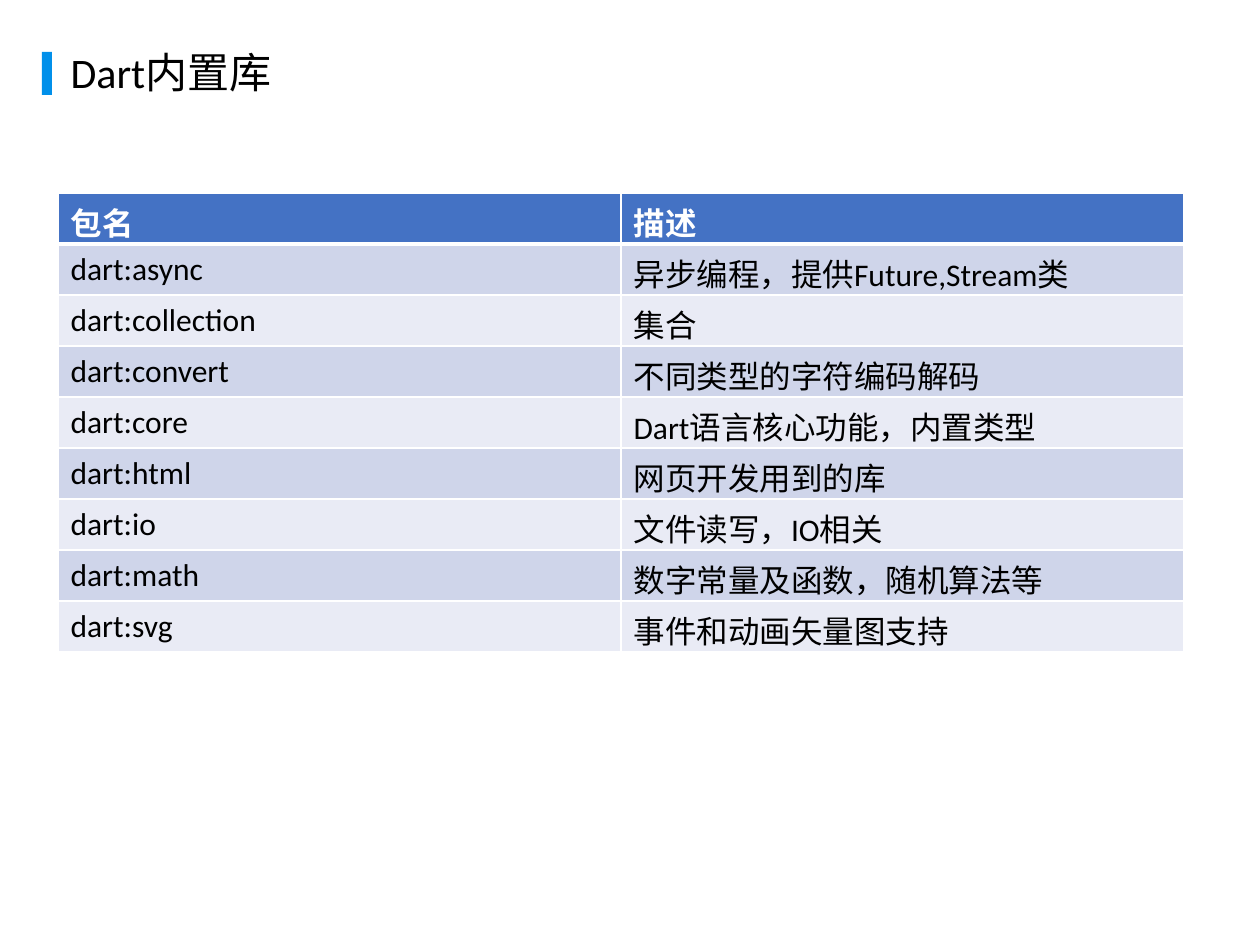
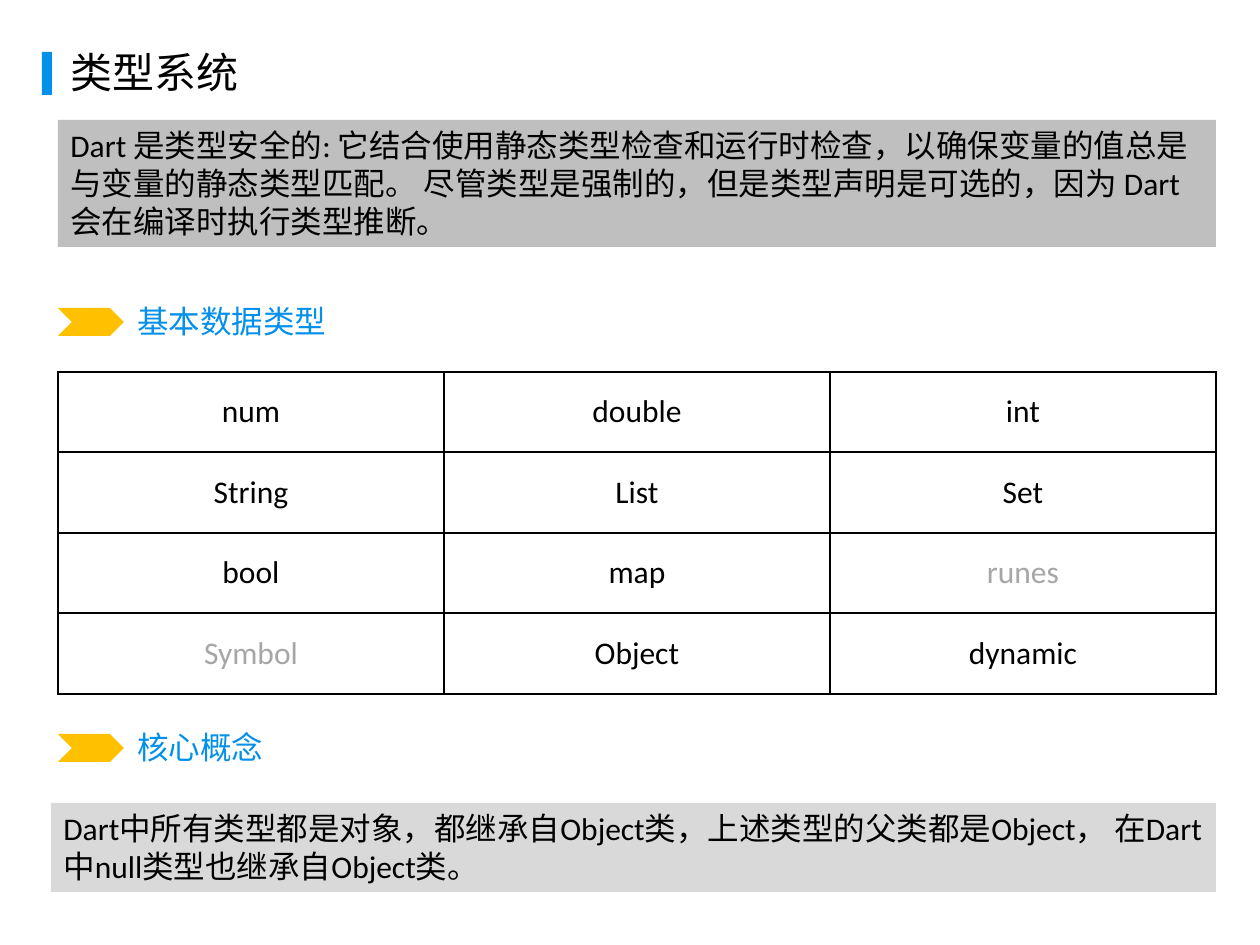
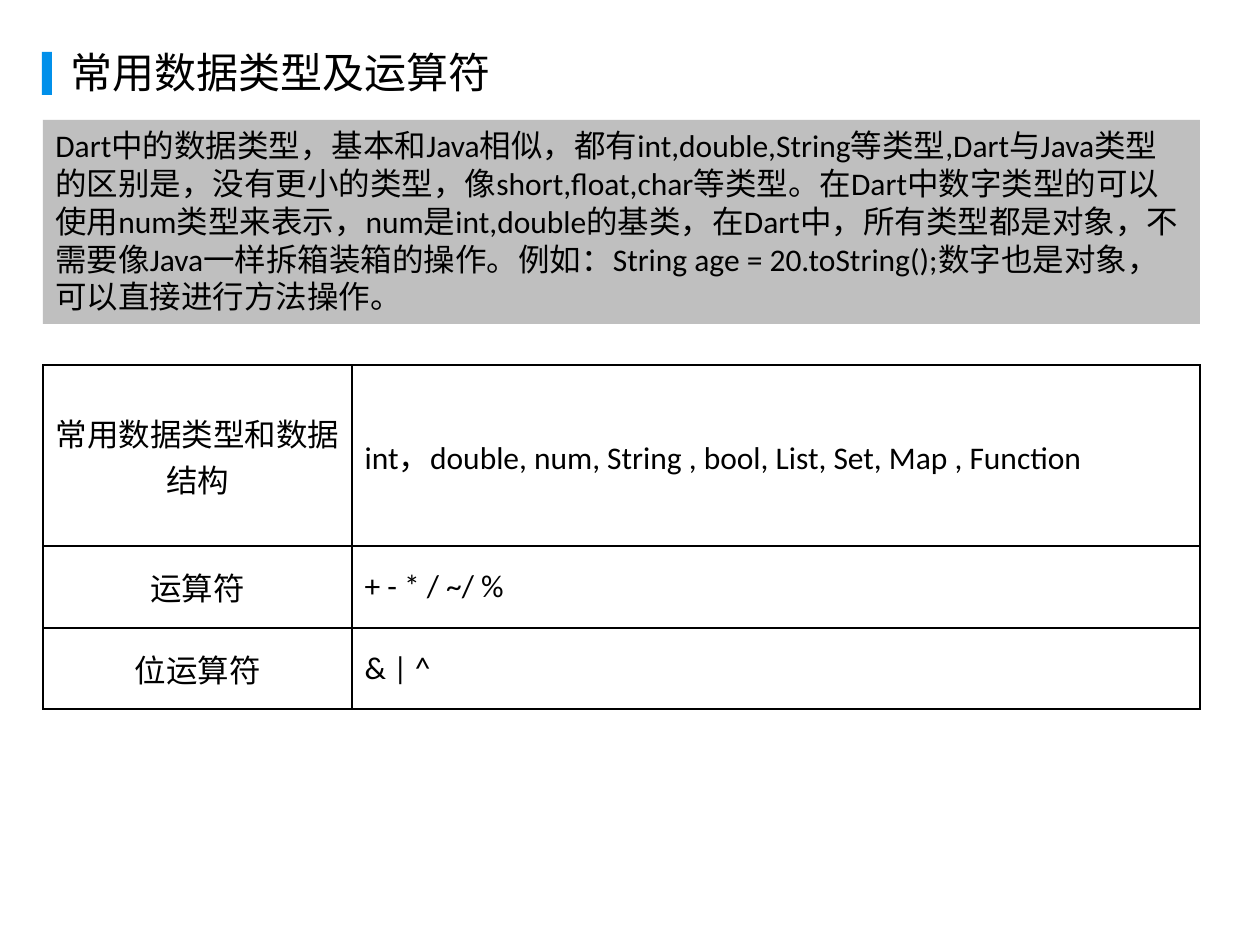
from dataclasses import dataclass
from typing import Any, Optional

from lxml.etree import SubElement
from pptx import Presentation
from pptx.dml.color import RGBColor
from pptx.enum.shapes import MSO_SHAPE as Preset
from pptx.enum.text import MSO_ANCHOR as Anchor, MSO_AUTO_SIZE as AutoSize, PP_ALIGN as Align
from pptx.oxml.ns import qn
from pptx.util import Emu, Pt

EMU_PER_PIXEL = 914400 / 126
TITLE_ONLY = 5


@dataclass(frozen=True)
class Theme:
    """Colours, font and type sizes of the whole deck."""
    font: str = "Calibri"
    title_size: int = 24
    body_size: int = 18
    ink: str = "000000"
    muted: str = "A6A6A6"
    white: str = "FFFFFF"
    accent: str = "0190EA"
    heading: str = "0390EA"
    marker: str = "FFC000"
    summary: str = "BFBFBF"
    concept: str = "D9D9D9"
    header: str = "4472C4"
    bands: tuple[str, str] = ("CFD5EA", "E9EBF5")


THEME = Theme()


@dataclass(frozen=True)
class Box:
    """A rectangle in whole pixels."""
    left: int
    top: int
    width: int
    height: int

    def emu(self) -> tuple[Emu, Emu, Emu, Emu]:
        """Return the four lengths in EMU."""
        return px(self.left), px(self.top), px(self.width), px(self.height)


@dataclass(frozen=True)
class CellStyle:
    """Look of one table cell; line widths are in points."""
    fill: Optional[str] = None
    ink: str = THEME.ink
    bold: bool = False
    align: Align = Align.LEFT
    anchor: Anchor = Anchor.MIDDLE
    line: str = THEME.ink
    top: int = 1
    bottom: int = 1


@dataclass(frozen=True)
class Grid:
    """A table: its corner, track sizes in pixels, and texts."""
    left: int
    top: int
    columns: tuple[int, ...]
    rows: tuple[int, ...]
    texts: tuple[tuple[str, ...], ...]


def px(pixels: float) -> Emu:
    """Turn pixels into EMU."""
    return Emu(round(pixels * EMU_PER_PIXEL))


def assign(target: Any, values: dict[str, Any]) -> None:
    """Set several attributes on one object."""
    for name, value in values.items():
        setattr(target, name, value)


def write(frame, text: str, size: int = THEME.body_size, ink: str = THEME.ink,
          bold: bool = False, align: Align = Align.LEFT) -> None:
    """Put one formatted paragraph into a text frame."""
    paragraph = frame.paragraphs[0]
    paragraph.alignment = align
    run = paragraph.add_run()
    run.text = text
    assign(run.font, {"name": THEME.font, "size": Pt(size), "bold": bold})
    run.font.color.rgb = RGBColor.from_string(ink)


def fit(frame) -> None:
    """Wrap a frame's text and let its shape follow the text height."""
    assign(frame, {"word_wrap": True, "vertical_anchor": Anchor.TOP,
                   "auto_size": AutoSize.SHAPE_TO_FIT_TEXT})


def add_block(slide, preset: Preset, box: Box, fill: str):
    """Draw a flat preset shape without line or shadow."""
    block = slide.shapes.add_shape(preset, *box.emu())
    block.shadow.inherit = False
    block.fill.solid()
    block.fill.fore_color.rgb = RGBColor.from_string(fill)
    block.line.fill.background()
    return block


def add_titled_slide(deck, title: str, width: int):
    """Add a slide with its title and the accent bar beside it."""
    slide = deck.slides.add_slide(deck.slide_layouts[TITLE_ONLY])
    heading = slide.shapes.title
    left, top, wide, high = Box(58, 40, width, 63).emu()
    assign(heading, {"left": left, "top": top, "width": wide, "height": high})
    fit(heading.text_frame)
    write(heading.text_frame, title, THEME.title_size)
    add_block(slide, Preset.RECTANGLE, Box(42, 52, 10, 43), THEME.accent)
    return slide


def add_panel(slide, box: Box, fill: str, text: str) -> None:
    """Draw a filled panel holding a paragraph."""
    frame = add_block(slide, Preset.RECTANGLE, box, fill).text_frame
    fit(frame)
    write(frame, text)


def add_section(slide, top: int, text: str) -> None:
    """Draw a section heading led by a chevron."""
    add_block(slide, Preset.CHEVRON, Box(58, top + 12, 66, 28), THEME.marker)
    label = slide.shapes.add_textbox(*Box(125, top, 233, 51).emu())
    fit(label.text_frame)
    write(label.text_frame, text, ink=THEME.heading)


def add_borders(cell, style: CellStyle) -> None:
    """Add the four border lines of a cell."""
    properties = cell._tc.get_or_add_tcPr()
    widths = {"lnL": 1, "lnR": 1, "lnT": style.top, "lnB": style.bottom}
    for edge, width in widths.items():
        line = SubElement(properties, qn(f"a:{edge}"), w=str(Pt(width)))
        solid = SubElement(line, qn("a:solidFill"))
        SubElement(solid, qn("a:srgbClr"), val=style.line)


def add_grid(slide, grid: Grid, style_of) -> None:
    """Draw a table; style_of(row, column) gives each cell's look."""
    box = Box(grid.left, grid.top, sum(grid.columns), sum(grid.rows))
    table = slide.shapes.add_table(len(grid.rows), len(grid.columns), *box.emu()).table
    assign(table, {"first_row": False, "horz_banding": False})
    for column, width in zip(table.columns, grid.columns):
        column.width = px(width)
    for row, height in zip(table.rows, grid.rows):
        row.height = px(height)
    for r, texts in enumerate(grid.texts):
        for c, text in enumerate(texts):
            cell, style = table.cell(r, c), style_of(r, c)
            add_borders(cell, style)
            if style.fill:
                cell.fill.solid()
                cell.fill.fore_color.rgb = RGBColor.from_string(style.fill)
            else:
                cell.fill.background()
            cell.vertical_anchor = style.anchor
            write(cell.text_frame, text, ink=style.ink, bold=style.bold, align=style.align)


LIBRARIES = Grid(58, 193, (563,) * 2, (51,) * 9, (
    ("包名", "描述"),
    ("dart:async", "异步编程，提供Future,Stream类"),
    ("dart:collection", "集合"),
    ("dart:convert", "不同类型的字符编码解码"),
    ("dart:core", "Dart语言核心功能，内置类型"),
    ("dart:html", "网页开发用到的库"),
    ("dart:io", "文件读写，IO相关"),
    ("dart:math", "数字常量及函数，随机算法等"),
    ("dart:svg", "事件和动画矢量图支持"),
))
BASIC_TYPES = Grid(58, 372, (386,) * 3, (80, 81) * 2, (
    ("num", "double", "int"),
    ("String", "List", "Set"),
    ("bool", "map", "runes"),
    ("Symbol", "Object", "dynamic"),
))
RARE_TYPES = ("runes", "Symbol")
OPERATORS = Grid(43, 365, (309, 848), (181, 82, 81), (
    ("常用数据类型和数据结构", "int，double, num, String , bool, List, Set, Map , Function"),
    ("运算符", "+ - * / ~/ %"),
    ("位运算符", "& | ^"),
))


def library_style(row: int, column: int) -> CellStyle:
    """Blue header over banded rows."""
    if row == 0:
        return CellStyle(THEME.header, THEME.white, True, anchor=Anchor.TOP,
                         line=THEME.white, bottom=3)
    return CellStyle(THEME.bands[(row - 1) % 2], anchor=Anchor.TOP,
                     line=THEME.white, top=3 if row == 1 else 1)


def type_style(row: int, column: int) -> CellStyle:
    """Centred cells, rarely used types muted."""
    rare = BASIC_TYPES.texts[row][column] in RARE_TYPES
    return CellStyle(ink=THEME.muted if rare else THEME.ink, align=Align.CENTER)


def operator_style(row: int, column: int) -> CellStyle:
    """Centred labels beside left-aligned values."""
    return CellStyle(align=Align.LEFT if column else Align.CENTER)


def build_libraries(deck) -> None:
    """Slide on the built-in libraries."""
    slide = add_titled_slide(deck, "Dart内置库", 588)
    add_grid(slide, LIBRARIES, library_style)


def build_type_system(deck) -> None:
    """Slide on the type system."""
    slide = add_titled_slide(deck, "类型系统", 220)
    add_panel(slide, Box(58, 120, 1158, 127), THEME.summary,
              "Dart 是类型安全的: 它结合使用静态类型检查和运行时检查，以确保变量的值总"
              "是与变量的静态类型匹配。 尽管类型是强制的，但是类型声明是可选的，因为 "
              "Dart 会在编译时执行类型推断。")
    add_grid(slide, BASIC_TYPES, type_style)
    add_section(slide, 296, "基本数据类型")
    add_section(slide, 722, "核心概念")
    add_panel(slide, Box(51, 803, 1165, 89), THEME.concept,
              "Dart中所有类型都是对象，都继承自Object类，上述类型的父类都是Object， "
              "在Dart中null类型也继承自Object类。")


def build_operators(deck) -> None:
    """Slide on common types and operators."""
    slide = add_titled_slide(deck, "常用数据类型及运算符", 533)
    add_panel(slide, Box(43, 120, 1157, 204), THEME.summary,
              "Dart中的数据类型，基本和Java相似，都有int,double,String等类型,Dart与Java"
              "类型的区别是，没有更小的类型，像short,float,char等类型。在Dart中数字类型"
              "的可以使用num类型来表示，num是int,double的基类，在Dart中，所有类型都"
              "是对象，不需要像Java一样拆箱装箱的操作。例如：String age = 20.toString();"
              "数字也是对象，可以直接进行方法操作。")
    add_grid(slide, OPERATORS, operator_style)


def main() -> None:
    """Build and save the deck."""
    deck = Presentation()
    assign(deck, {"slide_width": px(1260), "slide_height": px(945)})
    for build in (build_libraries, build_type_system, build_operators):
        build(deck)
    deck.save("out.pptx")


main()
